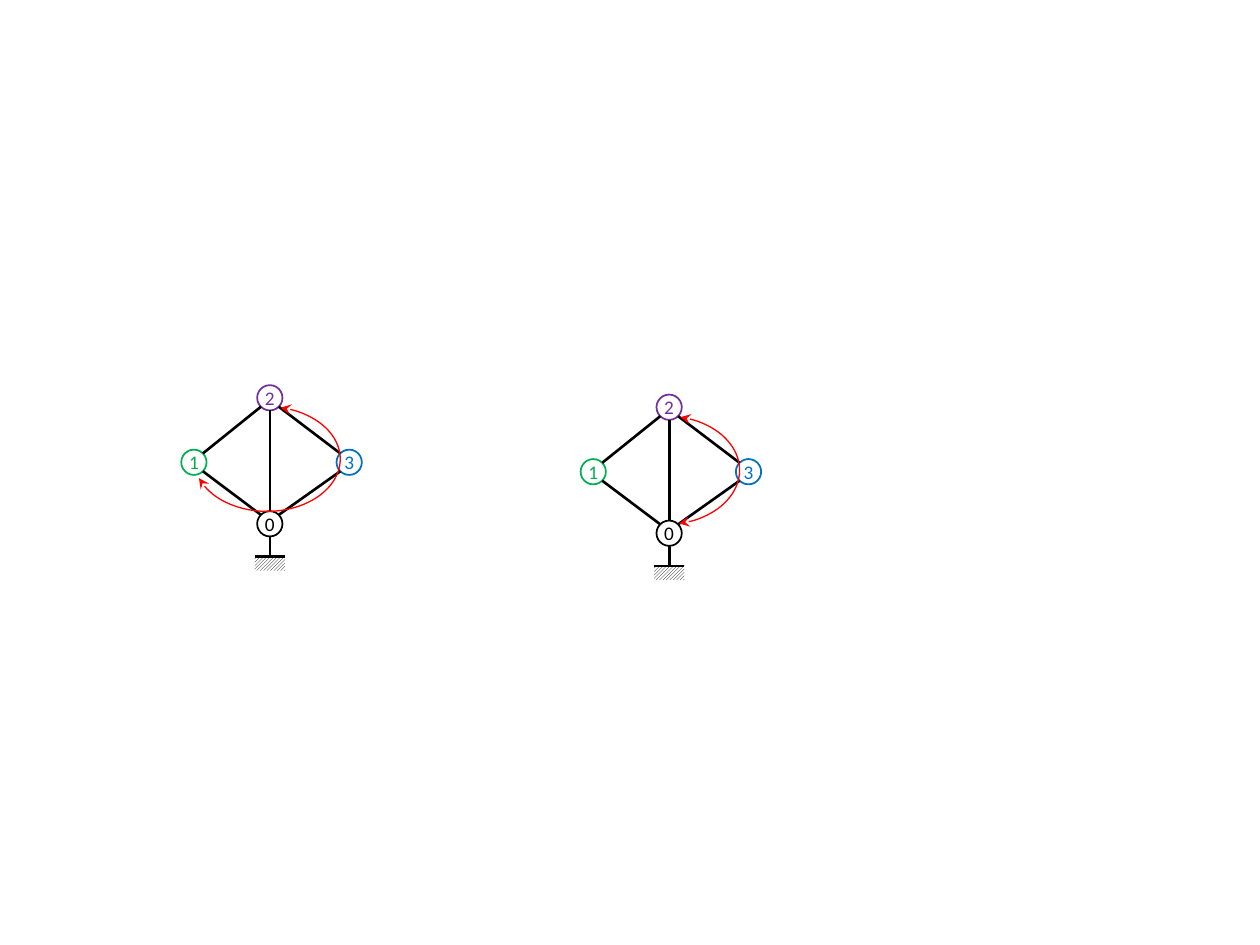
from lxml.etree import SubElement
from pptx import Presentation
from pptx.dml.color import RGBColor
from pptx.enum.dml import MSO_PATTERN
from pptx.enum.shapes import MSO_CONNECTOR, MSO_SHAPE
from pptx.enum.text import MSO_ANCHOR, PP_ALIGN
from pptx.oxml.ns import qn
from pptx.util import Cm, Inches, Pt

BLACK = "000000"
NODE_SIZE = 0.51
NODE_RIM = 0.18  # horizontal and vertical reach of a diagonal rim point
AXIS = 1.78  # centre line of the graph
# Label: (centre x, centre y, colour), in cm from the corner of the graph
NODES = {
    "2": (AXIS, 0.25, "7030A0"),
    "1": (0.25, 1.55, "00B050"),
    "3": (3.38, 1.55, "0070C0"),
    "0": (AXIS, 2.79, BLACK),
}
EDGES = [("0", "1"), ("2", "1"), ("3", "0"), ("2", "3")]
GROUND = 3.45


def color(value):
    return RGBColor.from_string(value)


def set_line(shape, value, width):
    shape.line.color.rgb = color(value)
    shape.line.width = Pt(width)


def add_shape(parent, kind, left, top, width, height):
    shape = parent.shapes.add_shape(kind, Cm(left), Cm(top), Cm(width), Cm(height))
    shape.shadow.inherit = False
    shape.fill.background()
    return shape


def add_node(parent, label, center_x, center_y, value):
    node = add_shape(parent, MSO_SHAPE.OVAL, center_x - NODE_SIZE / 2,
                     center_y - NODE_SIZE / 2, NODE_SIZE, NODE_SIZE)
    set_line(node, value, 1)
    frame = node.text_frame
    frame.margin_left = frame.margin_right = frame.margin_top = frame.margin_bottom = 0
    frame.word_wrap = False
    frame.vertical_anchor = MSO_ANCHOR.MIDDLE
    para = frame.paragraphs[0]
    para.text = label
    para.alignment = PP_ALIGN.CENTER
    para.font.name = "Calibri"
    para.font.size = Pt(11)
    para.font.color.rgb = color(value)


def add_segment(parent, start_x, start_y, end_x, end_y):
    segment = parent.shapes.add_connector(
        MSO_CONNECTOR.STRAIGHT, Cm(start_x), Cm(start_y), Cm(end_x), Cm(end_y))
    set_line(segment, BLACK, 1.5)
    SubElement(segment._element.spPr, qn("a:effectLst"))


def add_edge(parent, left, top, start, end):
    """Join the facing diagonal rim points of two nodes."""
    start_x, start_y, _ = NODES[start]
    end_x, end_y, _ = NODES[end]
    step_x = NODE_RIM if end_x > start_x else -NODE_RIM
    step_y = NODE_RIM if end_y > start_y else -NODE_RIM
    add_segment(parent, left + start_x + step_x, top + start_y + step_y,
                left + end_x - step_x, top + end_y - step_y)


def add_graph(page, left, top):
    group = page.shapes.add_group_shape()
    for label, (x, y, value) in NODES.items():
        add_node(group, label, left + x, top + y, value)

    # Hatched ground with its bar and post
    axis, ground = left + AXIS, top + GROUND
    hatch = add_shape(group, MSO_SHAPE.RECTANGLE, axis - 0.15, ground - 0.17, 0.3, 0.61)
    hatch.rotation = 90
    hatch.fill.patterned()
    hatch.fill.pattern = MSO_PATTERN.DARK_UPWARD_DIAGONAL
    hatch.fill.fore_color.rgb = color(BLACK)
    hatch.fill.back_color.rgb = color("FFFFFF")
    hatch.line.fill.background()
    add_segment(group, axis - 0.3, ground, axis + 0.3, ground)
    radius = NODE_SIZE / 2
    bottom = top + NODES["0"][1]
    add_segment(group, axis, bottom + radius, axis, ground)

    # Edges, the upright one last
    for start, end in EDGES:
        add_edge(group, left, top, start, end)
    add_segment(group, axis, top + NODES["2"][1] + radius, axis, bottom - radius)


def add_path_arc(page, left, top, height, end_degrees):
    """Red arc from node 2 clockwise past node 3, with an arrow at both ends."""
    arc = add_shape(page, MSO_SHAPE.ARC, left + 0.25, top + 0.43, 2.95, height)
    for index, degrees in enumerate((284.82, end_degrees)):
        arc.adjustments[index] = degrees * 0.6  # 60000 units a degree, over 100000
    set_line(arc, "FF0000", 0.75)
    for tag in ("a:headEnd", "a:tailEnd"):
        SubElement(arc.line._get_or_add_ln(), qn(tag), type="stealth")


def main():
    deck = Presentation()
    deck.slide_width, deck.slide_height = Inches(10), Inches(7.5)
    page = deck.slides.add_slide(deck.slide_layouts[6])
    # Left, top, arc height and arc end of each graph
    for left, top, height, end_degrees in [(3.66, 7.77, 2.11, 164.3),
                                           (11.71, 7.96, 2.18, 76.53)]:
        add_graph(page, left, top)
        add_path_arc(page, left, top, height, end_degrees)
    deck.save("out.pptx")


if __name__ == "__main__":
    main()
